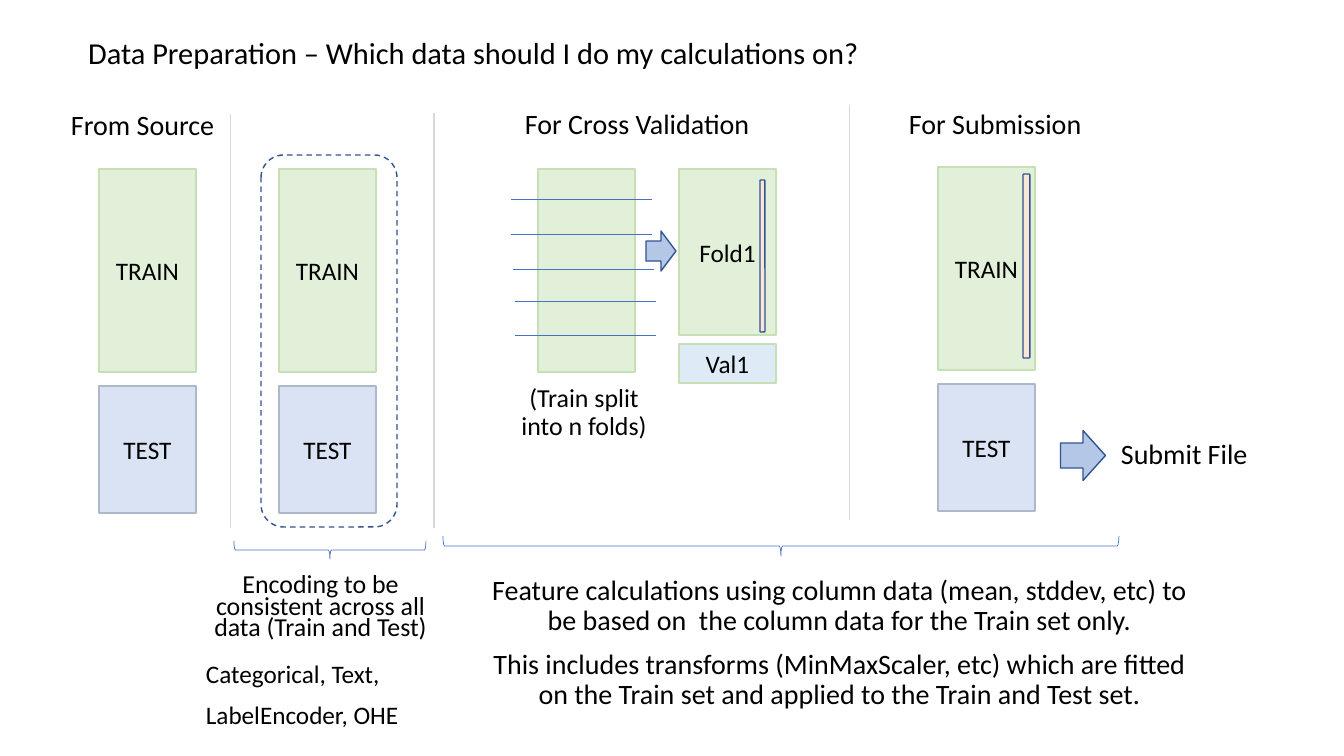
from pptx import Presentation
from pptx.dml.color import RGBColor
from pptx.enum.dml import MSO_LINE
from pptx.enum.shapes import MSO_CONNECTOR, MSO_SHAPE as Shape
from pptx.enum.text import MSO_ANCHOR as Anchor, MSO_AUTO_SIZE, PP_ALIGN as Align
from pptx.oxml.ns import qn
from pptx.util import Pt
from lxml.etree import SubElement

SCALE = 914400 / 100.8
BLACK = RGBColor(0, 0, 0)
GREEN = RGBColor(0xE2, 0xF0, 0xD9)
GREEN_EDGE = RGBColor(0xC5, 0xE0, 0xB4)
LAVENDER = RGBColor(0xDA, 0xE3, 0xF3)
LAVENDER_EDGE = RGBColor(0xAD, 0xB9, 0xCA)
PALE_BLUE = RGBColor(0xDE, 0xEB, 0xF7)
ARROW_BLUE = RGBColor(0xB4, 0xC7, 0xE7)
NAVY = RGBColor(0x32, 0x54, 0x91)
BLUE = RGBColor(0x44, 0x72, 0xC4)
PEACH = RGBColor(0xFB, 0xE5, 0xD6)
GRAY = RGBColor(0xD9, 0xD9, 0xD9)


def px(*lengths):
    return [round(length * SCALE) for length in lengths]


def write(box, lines, size, align, spacing=None, anchor=Anchor.TOP):
    frame = box.text_frame
    frame.text = "\n".join(lines)
    frame_format = {"word_wrap": True, "auto_size": MSO_AUTO_SIZE.NONE, "vertical_anchor": anchor}
    for name, value in frame_format.items():
        setattr(frame, name, value)
    for para in frame.paragraphs:
        before = Pt(10) if spacing else Pt(0)
        para_format = {"alignment": align, "line_spacing": spacing, "space_before": before}
        for name, value in para_format.items():
            setattr(para, name, value)
        font = para.runs[0].font
        for name, value in {"name": "Calibri", "size": Pt(size)}.items():
            setattr(font, name, value)
        font.color.rgb = BLACK


deck = Presentation()
deck.slide_width, deck.slide_height = px(1344, 756)
page = deck.slides.add_slide(deck.slide_layouts[1])
title, body = page.placeholders

placeholder_texts = [
    (title, (78, 39, 836, 50), ["Data Preparation – Which data should I do my calculations on?"],
     21.7, Align.LEFT, 0.7),
    (body, (468, 571, 743, 170),
     ["Feature calculations using column data (mean, stddev, etc) to be based on  "
      "the column data for the Train set only.",
      "This includes transforms (MinMaxScaler, etc) which are fitted on the Train set "
      "and applied to the Train and Test set."], 20, Align.CENTER, 0.9),
]
for box, place, lines, size, align, spacing in placeholder_texts:
    box.left, box.top, box.width, box.height = px(*place)
    write(box, lines, size, align, spacing)
for para in body.text_frame.paragraphs:
    settings = para._p.get_or_add_pPr()
    settings.set("marL", "0")
    settings.set("indent", "0")
    SubElement(settings, qn("a:buNone"))

labels = [
    ((61, 106, 216, 50), ["From Source"], 20, Align.LEFT, 0.9),
    ((515, 105, 247, 50), ["For Cross Validation"], 20, Align.LEFT, 0.9),
    ((899, 105, 247, 50), ["For Submission"], 20, Align.LEFT, 0.9),
    ((1111, 435, 163, 41), ["Submit File"], 20, Align.LEFT, 0.9),
    ((196, 657, 247, 85), ["Categorical, Text,", "LabelEncoder, OHE"], 18, Align.LEFT, 0.9),
    ((197, 571, 247, 85), ["Encoding to be consistent across all data (Train and Test)"],
     18.5, Align.CENTER, 0.7),
    ((508, 380, 152, 75), ["(Train split into n folds)"], 18.5, Align.CENTER, 0.9),
]
for place, lines, size, align, spacing in labels:
    write(page.shapes.add_textbox(*px(*place)), lines, size, align, spacing)

blocks = [
    ((538, 169, 97, 203), GREEN, GREEN_EDGE, None),
    ((679, 169, 97, 166), GREEN, GREEN_EDGE, "Fold1"),
    ((679, 344, 97, 39), PALE_BLUE, GREEN_EDGE, "Val1"),
]
for left, top in [(99, 169), (279, 169), (938, 167)]:
    blocks.append(((left, top, 97, 203), GREEN, GREEN_EDGE, "TRAIN"))
    blocks.append(((left, top + 217, 97, 127), LAVENDER, LAVENDER_EDGE, "TEST"))

shapes = [(Shape.RECTANGLE, place, fill, edge, 1, 0, text) for place, fill, edge, text in blocks]
shapes += [
    (Shape.DOWN_ARROW, (1058, 433, 50, 45), ARROW_BLUE, NAVY, 1, 270, None),
    (Shape.DOWN_ARROW, (641, 236, 40, 30), ARROW_BLUE, NAVY, 1, 270, None),
    (Shape.ROUNDED_RECTANGLE, (760, 180, 5, 152), PEACH, NAVY, 1, 0, None),
    (Shape.ROUNDED_RECTANGLE, (1023, 174, 7, 184), PEACH, NAVY, 1, 0, None),
    (Shape.LEFT_BRACE, (321, 454, 18, 192), None, BLUE, 0.5, 270, None),
    (Shape.LEFT_BRACE, (771, 208, 20, 676), None, BLUE, 0.5, 270, None),
    (Shape.ROUNDED_RECTANGLE, (261, 155, 136, 372), None, NAVY, 1, 0, None),
]
for kind, place, fill, edge, width, rotation, text in shapes:
    shape = page.shapes.add_shape(kind, *px(*place))
    shape.shadow.inherit = False
    shape.rotation = rotation
    if fill:
        shape.fill.solid()
        shape.fill.fore_color.rgb = fill
    else:
        shape.fill.background()
    shape.line.color.rgb = edge
    shape.line.width = Pt(width)
    if text:
        write(shape, [text], 18, Align.CENTER, anchor=Anchor.MIDDLE)
encoding_frame = shape
encoding_frame.line.dash_style = MSO_LINE.DASH

dividers = [(231, 114, 528), (434, 113, 528), (850, 105, 520)]
fold_cuts = [(511, 199), (511, 234), (513, 269), (515, 301), (515, 335)]
lines = [((x, top, x, bottom), GRAY, 0.75) for x, top, bottom in dividers]
lines += [((left, y, left + 141, y), BLUE, 0.5) for left, y in fold_cuts]
for ends, color, width in lines:
    line = page.shapes.add_connector(MSO_CONNECTOR.STRAIGHT, *px(*ends))
    line.line.color.rgb = color
    line.line.width = Pt(width)
    SubElement(line._element.spPr, qn("a:effectLst"))

deck.save("out.pptx")
